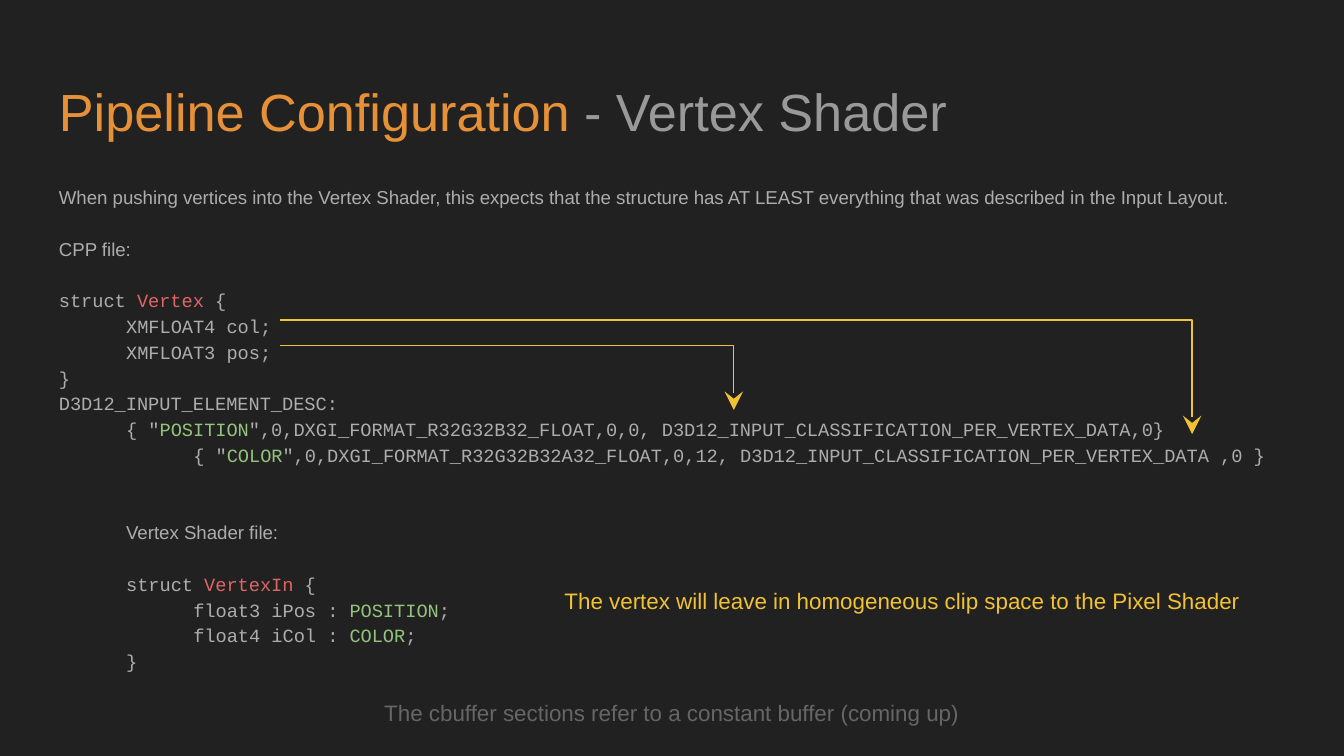
from collections import namedtuple

from lxml.etree import SubElement
from pptx import Presentation
from pptx.dml.color import RGBColor
from pptx.enum.shapes import MSO_CONNECTOR
from pptx.enum.text import MSO_ANCHOR, PP_ALIGN
from pptx.oxml.ns import qn
from pptx.util import Inches, Pt

DARK = RGBColor(0x21, 0x21, 0x21)
LIGHT = RGBColor(0xAD, 0xAD, 0xAD)
ORANGE = RGBColor(0xE6, 0x91, 0x38)
GREY = RGBColor(0x99, 0x99, 0x99)
DIM = RGBColor(0x66, 0x66, 0x66)
YELLOW = RGBColor(0xF1, 0xC2, 0x32)
RED = RGBColor(0xE0, 0x66, 0x66)
GREEN = RGBColor(0x93, 0xC4, 0x7D)
SANS, MONO = "Arial", "Courier New"

# A 16:9 page on a grid of fine columns and rows, equal in both directions
PAGE_WIDTH = Inches(10)
PAGE_HEIGHT = PAGE_WIDTH * 9 // 16
COLUMNS = 1000
UNIT = PAGE_WIDTH // COLUMNS
TAB = 50 * UNIT
BLANK_LINE = 13.8

Box = namedtuple("Box", "left top width height")


def set_all(target, values):
    for name, value in values.items():
        setattr(target, name, value)


def add_text_box(page, box, anchor=MSO_ANCHOR.TOP):
    frame = page.shapes.add_textbox(*(UNIT * n for n in box)).text_frame
    inset = 10 * UNIT
    set_all(frame, {"word_wrap": True, "vertical_anchor": anchor,
                    "margin_left": inset, "margin_right": inset,
                    "margin_top": inset, "margin_bottom": inset})
    return frame


def add_spans(para, spans, font, size):
    for text, color in spans:
        span = para.add_run()
        span.text = text
        set_all(span.font, {"name": font, "size": Pt(size)})
        span.font.color.rgb = color


def add_title(page, box):
    para = add_text_box(page, box).paragraphs[0]
    add_spans(para, [("Pipeline Configuration ", ORANGE),
                     ("- Vertex Shader", GREY)], SANS, 28)


def add_note(page, box, text, color):
    para = add_text_box(page, box, MSO_ANCHOR.MIDDLE).paragraphs[0]
    para.alignment = PP_ALIGN.CENTER
    add_spans(para, [(text, color)], SANS, 12)


def add_listing(page, box, lines):
    """Each line: blank lines before, left tabs, first-line tabs, font, spans."""
    frame = add_text_box(page, box)
    for number, (gap, left, first, font, spans) in enumerate(lines):
        para = frame.add_paragraph() if number else frame.paragraphs[0]
        set_all(para, {"line_spacing": 1.15, "space_before": Pt(gap * BLANK_LINE),
                       "space_after": Pt(0)})
        props = para._p.get_or_add_pPr()
        props.set("marL", str(left * TAB))
        props.set("indent", str(first * TAB))
        add_spans(para, spans, font, 10)


def add_arrow(page, box):
    """Run along the top of the box, then down its right side."""
    left, top, width, height = (UNIT * n for n in box)
    arrow = page.shapes.add_connector(MSO_CONNECTOR.ELBOW, left, top,
                                      left + width, top + height)
    arrow.line.color.rgb = YELLOW
    arrow.line.width = Pt(0.75)
    props = arrow._element.spPr
    props.find(qn("a:prstGeom")).set("prst", "bentConnector2")
    SubElement(props.find(qn("a:ln")), qn("a:tailEnd"),
               type="stealth", w="lg", len="lg")
    SubElement(props, qn("a:effectLst"))


def code(left, first, *spans, gap=0):
    return gap, left, first, MONO, spans


def prose(gap, left, text):
    return gap, left, 0, SANS, [(text, LIGHT)]


def struct(left, name, gap=1):
    return code(left, 0, ("struct ", LIGHT), (name + " ", RED), ("{", LIGHT), gap=gap)


def element(left, name, rest):
    return code(left, 1, ('{ "', LIGHT), (name, GREEN), ('"' + rest, LIGHT))


def field(declaration, semantic):
    return code(1, 1, (declaration + " : ", LIGHT), (semantic, GREEN), (";", LIGHT))


LISTING = [
    prose(0, 0, "When pushing vertices into the Vertex Shader, this expects that the "
          "structure has AT LEAST everything that was described in the Input Layout."),
    prose(1, 0, "CPP file:"),
    struct(0, "Vertex"),
    code(0, 1, ("XMFLOAT4 col;", LIGHT)),
    code(0, 1, ("XMFLOAT3 pos;", LIGHT)),
    code(0, 0, ("}", LIGHT)),
    code(0, 0, ("D3D12_INPUT_ELEMENT_DESC:", LIGHT)),
    element(0, "POSITION", ",0,DXGI_FORMAT_R32G32B32_FLOAT,0,0, "
            "D3D12_INPUT_CLASSIFICATION_PER_VERTEX_DATA,0}"),
    element(1, "COLOR", ",0,DXGI_FORMAT_R32G32B32A32_FLOAT,0,12, "
            "D3D12_INPUT_CLASSIFICATION_PER_VERTEX_DATA ,0 }"),
    prose(2, 1, "Vertex Shader file:"),
    struct(1, "VertexIn"),
    field("float3 iPos", "POSITION"),
    field("float4 iCol", "COLOR"),
    code(1, 0, ("}", LIGHT)),
]

deck = Presentation()
set_all(deck, {"slide_width": PAGE_WIDTH, "slide_height": PAGE_HEIGHT})
page = deck.slides.add_slide(deck.slide_layouts[6])
page.background.fill.solid()
page.background.fill.fore_color.rgb = DARK

# Title and code
add_listing(page, Box(34, 126, 932, 374), LISTING)
add_title(page, Box(34, 49, 932, 63))

# Arrows from struct members to their descriptions
for box in (Box(208, 238, 679, 85), Box(208, 257, 338, 48)):
    add_arrow(page, box)

# Remarks
add_note(page, Box(377, 423, 589, 48),
         "The vertex will leave in homogeneous clip space to the Pixel Shader", YELLOW)
add_note(page, Box(34, 514, 932, 32),
         "The cbuffer sections refer to a constant buffer (coming up)", DIM)

deck.save("out.pptx")
